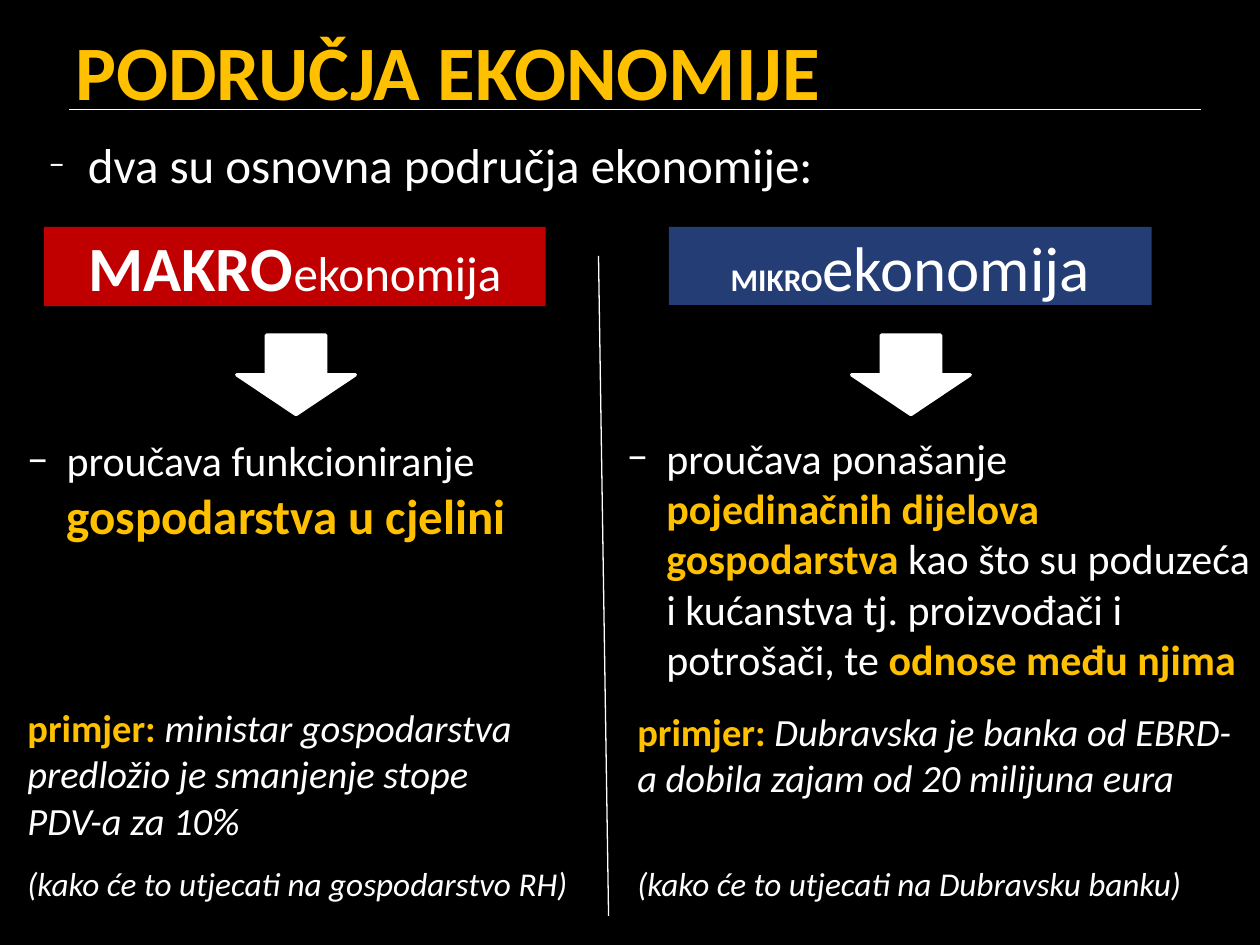
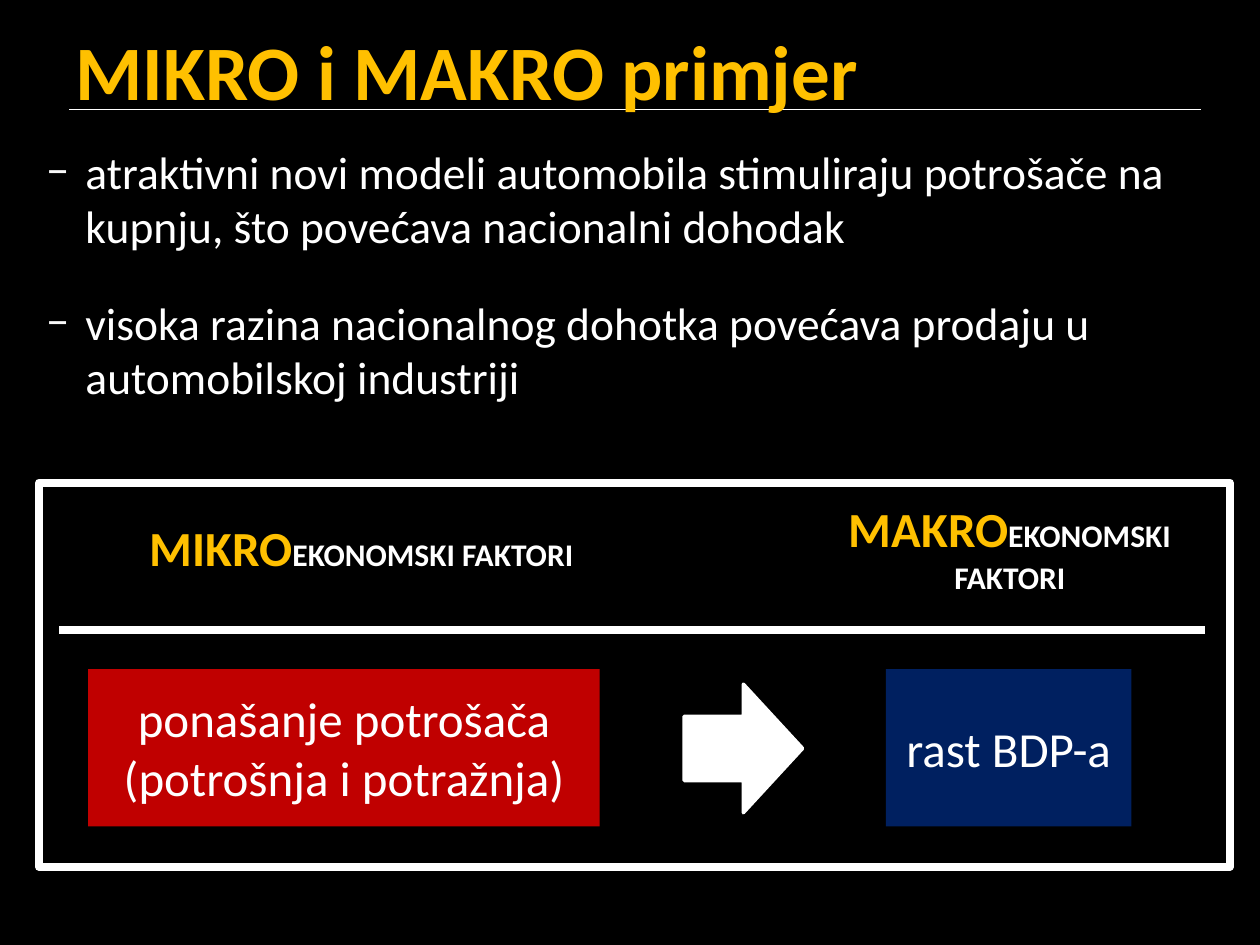
from lxml import etree
from pptx import Presentation
from pptx.dml.color import RGBColor
from pptx.enum.shapes import MSO_CONNECTOR, MSO_SHAPE
from pptx.enum.text import MSO_ANCHOR, PP_ALIGN
from pptx.oxml.ns import qn
from pptx.util import Inches, Pt

STRAIGHT = MSO_CONNECTOR.STRAIGHT
RECTANGLE = MSO_SHAPE.RECTANGLE
DOWN_ARROW, RIGHT_ARROW = MSO_SHAPE.DOWN_ARROW, MSO_SHAPE.RIGHT_ARROW
TOP, MIDDLE = MSO_ANCHOR.TOP, MSO_ANCHOR.MIDDLE
LEFT, CENTER = PP_ALIGN.LEFT, PP_ALIGN.CENTER

BLACK = RGBColor(0x00, 0x00, 0x00)
WHITE = RGBColor(0xFF, 0xFF, 0xFF)
GOLD = RGBColor(0xFF, 0xC0, 0x00)
RED = RGBColor(0xC0, 0x00, 0x00)
BLUE = RGBColor(0x25, 0x3D, 0x75)
NAVY = RGBColor(0x00, 0x20, 0x60)
BULLET_GREY = RGBColor(0xF9, 0xF9, 0xF9)
FONT = "Calibri"


def piece(text, size, color=WHITE, bold=False, italic=False):
    """Describe one formatted stretch of text."""
    return text, size, color, bold, italic


def add_dash(paragraph, indent, color, percent):
    """Give the paragraph a hanging dash as bullet."""
    properties = paragraph._p.get_or_add_pPr()
    properties.set("marL", str(Inches(indent)))
    properties.set("indent", str(Inches(-0.31)))
    bullet_color = etree.SubElement(properties, qn("a:buClr"))
    etree.SubElement(bullet_color, qn("a:srgbClr"), val=str(color))
    etree.SubElement(properties, qn("a:buSzPct"), val=str(percent * 1000))
    etree.SubElement(properties, qn("a:buFont"), typeface=FONT)
    etree.SubElement(properties, qn("a:buChar"), char="−")


def write_text(shape, paragraphs, align=LEFT, anchor=TOP, wrap=True, gap=0,
               dash_indent=None, dash_color=WHITE, dash_percent=100):
    """Fill the shape with paragraphs, each a list of pieces; gap is in points."""
    frame = shape.text_frame
    frame.word_wrap = wrap
    frame.vertical_anchor = anchor
    for index, pieces in enumerate(paragraphs):
        paragraph = frame.add_paragraph() if index else frame.paragraphs[0]
        paragraph.alignment = align
        if index:
            paragraph.space_before = Pt(gap)
        if dash_indent is not None:
            add_dash(paragraph, dash_indent, dash_color, dash_percent)
        for text, size, color, bold, italic in pieces:
            for line_number, line in enumerate(text.split("\n")):
                if line_number:
                    paragraph.add_line_break()
                run = paragraph.add_run()
                run.text = line
                run.font.name = FONT
                run.font.size = Pt(size)
                run.font.bold = bold
                run.font.italic = italic
                run.font.color.rgb = color


class Deck:
    """Holds the shared style and the slide being built."""

    def __init__(self):
        self.presentation = Presentation()
        self.presentation.slide_width = Inches(10)
        self.presentation.slide_height = Inches(7.5)
        self.slide = None

    def new_slide(self, title):
        self.slide = self.presentation.slides.add_slide(self.presentation.slide_layouts[6])
        background = self.slide.background.fill
        background.solid()
        background.fore_color.rgb = BLACK
        self.line(0.55, 0.87, 9.53, 0.87, 1)
        self.text(0.5, 0.08, 8.88, 0.95, [[piece(title, 44, GOLD, bold=True)]], anchor=MIDDLE)

    def line(self, x1, y1, x2, y2, width):
        connector = self.slide.shapes.add_connector(
            STRAIGHT, Inches(x1), Inches(y1), Inches(x2), Inches(y2))
        connector.line.color.rgb = WHITE
        connector.line.width = Pt(width)
        etree.SubElement(connector._element.spPr, qn("a:effectLst"))

    def text(self, left, top, width, height, paragraphs, **text_format):
        box = self.slide.shapes.add_textbox(
            Inches(left), Inches(top), Inches(width), Inches(height))
        write_text(box, paragraphs, **text_format)

    def shape(self, kind, left, top, width, height, fill=None, outline=None):
        """Add a preset shape; outline is the width of a white line in points."""
        shape = self.slide.shapes.add_shape(
            kind, Inches(left), Inches(top), Inches(width), Inches(height))
        shape.shadow.inherit = False
        if fill is None:
            shape.fill.background()
        else:
            shape.fill.solid()
            shape.fill.fore_color.rgb = fill
        if outline is None:
            shape.line.fill.background()
        else:
            shape.line.color.rgb = WHITE
            shape.line.width = Pt(outline)
        return shape

    def label(self, left, top, width, height, fill, pieces):
        box = self.shape(RECTANGLE, left, top, width, height, fill)
        write_text(box, [pieces], align=CENTER, anchor=MIDDLE)

    def arrow(self, kind, left, top, width, height):
        self.shape(kind, left, top, width, height, WHITE, outline=2)

    def example(self, left, top, example, question, gap):
        self.text(left, top, 5, 1.7, [
            [piece("primjer: ", 22, GOLD, bold=True), piece(example, 22, italic=True)],
            [piece(question, 19, italic=True)],
        ], gap=gap)


def build_areas(deck):
    deck.new_slide("PODRUČJA EKONOMIJE")
    deck.text(0, 1.02, 9.84, 0.63, [[piece("dva su osnovna područja ekonomije:", 28)]],
              dash_indent=0.6, dash_color=BULLET_GREY, dash_percent=65)
    deck.label(0.35, 1.8, 3.98, 0.63, RED,
               [piece("MAKRO", 36, bold=True), piece("ekonomija", 28)])
    deck.label(5.31, 1.8, 3.83, 0.62, BLUE,
               [piece("MIKRO", 18, bold=True), piece("ekonomija", 36)])
    deck.text(0.12, 3.4, 4.77, 1.38, [[
        piece("proučava funkcioniranje ", 24),
        piece("gospodarstva u cjelini", 28, GOLD, bold=True),
    ]], dash_indent=0.31)
    deck.text(4.88, 3.38, 5.16, 2.12, [[
        piece("proučava ponašanje\n", 24),
        piece("pojedinačnih dijelova gospodarstva ", 24, GOLD, bold=True),
        piece("kao što su poduzeća i kućanstva tj. proizvođači i potrošači, te ", 24),
        piece("odnose među njima", 24, GOLD, bold=True),
    ]], dash_indent=0.31)
    deck.line(4.75, 2.03, 4.83, 7.27, 0.75)
    deck.example(0.12, 5.54,
                 "ministar gospodarstva predložio je smanjenje stope\nPDV-a za 10%",
                 "(kako će to utjecati na gospodarstvo RH)", gap=12)
    deck.example(4.96, 5.57,
                 "Dubravska je banka od EBRD-a dobila zajam od 20 milijuna eura",
                 "(kako će to utjecati na Dubravsku banku)", gap=36)
    for left in (1.88, 6.76):
        deck.arrow(DOWN_ARROW, left, 2.66, 0.94, 0.63)


def build_example(deck):
    deck.new_slide("MIKRO i MAKRO primjer")
    statements = (
        "atraktivni novi modeli automobila stimuliraju potrošače na kupnju, "
        "što povećava nacionalni dohodak",
        "visoka razina nacionalnog dohotka povećava prodaju u automobilskoj industriji",
    )
    deck.text(-0.02, 1.09, 10.02, 2.81, [[piece(statement, 26)] for statement in statements],
              gap=24, dash_indent=0.6, dash_color=BULLET_GREY)
    deck.label(0.7, 5.31, 4.06, 1.25, RED,
               [piece("ponašanje potrošača (potrošnja i potražnja)", 28)])
    deck.arrow(RIGHT_ARROW, 5.43, 5.43, 0.94, 1.02)
    deck.label(7.03, 5.31, 1.95, 1.25, NAVY, [piece("rast BDP-a", 28)])
    deck.line(0.47, 5, 9.56, 5, 4.5)
    deck.text(1.09, 4.06, 3.6, 0.57, [[
        piece("MIKRO", 28, GOLD, bold=True), piece("EKONOMSKI FAKTORI", 18, bold=True),
    ]], wrap=False)
    deck.text(6.58, 3.91, 2.87, 0.88, [
        [piece("MAKRO", 28, GOLD, bold=True), piece("EKONOMSKI", 18, bold=True)],
        [piece("FAKTORI", 18, bold=True)],
    ], align=CENTER)
    deck.shape(RECTANGLE, 0.31, 3.83, 9.45, 3.05, outline=4.5)


def main():
    deck = Deck()
    build_areas(deck)
    build_example(deck)
    deck.presentation.save("out.pptx")


if __name__ == "__main__":
    main()
